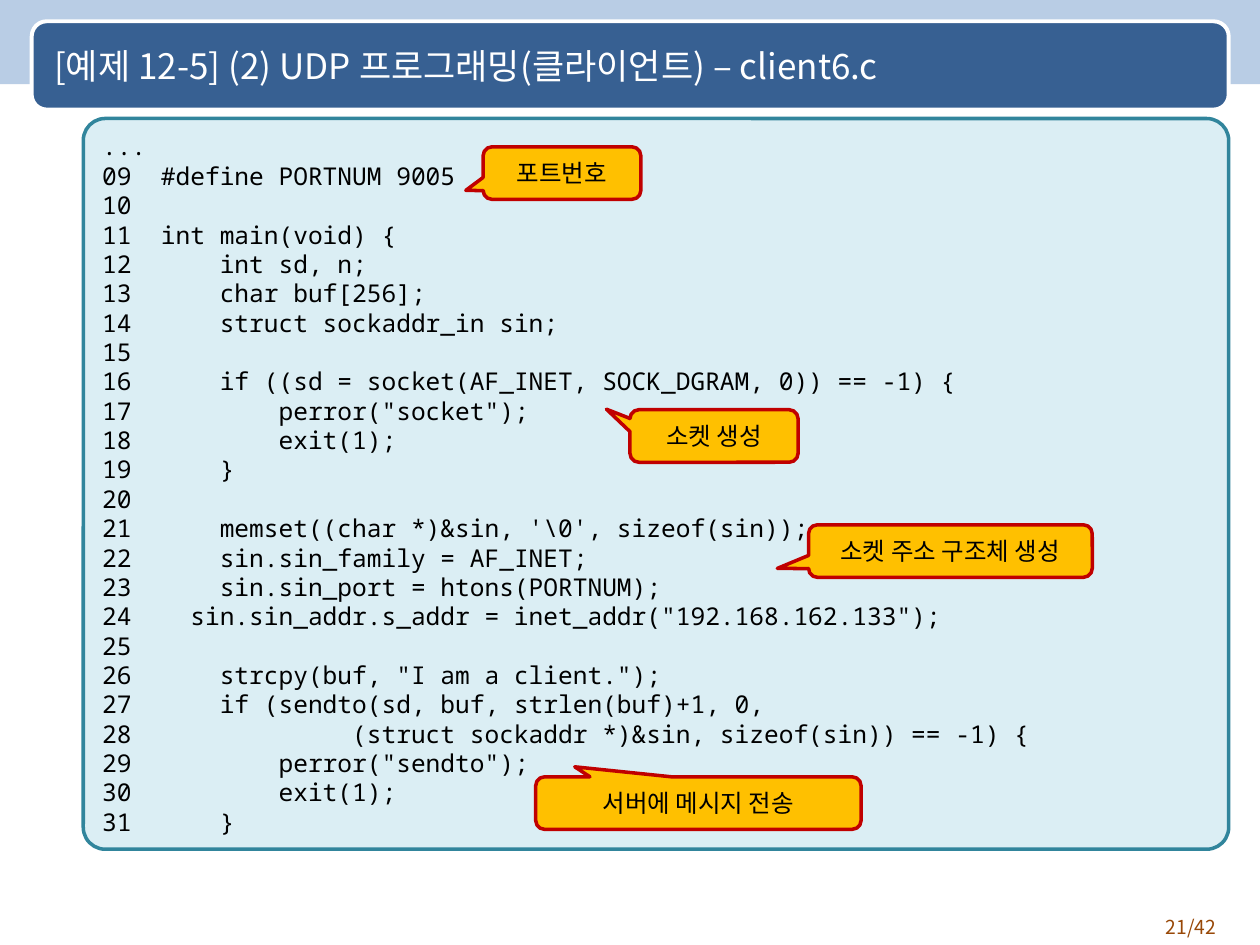
"""Builds a slide with an annotated UDP client listing in C."""
from lxml import etree
from pptx import Presentation, util as u
from pptx.dml.color import RGBColor
from pptx.enum import shapes, text
from pptx.oxml import ns

SANS, MONO = "Noto Sans CJK KR", "Noto Sans Mono"
WHITE = RGBColor(0xFF, 0xFF, 0xFF)
BLACK = RGBColor(0x00, 0x00, 0x00)
PALE_BLUE = RGBColor(0xB9, 0xCD, 0xE5)
NAVY = RGBColor(0x37, 0x60, 0x92)
ICE = RGBColor(0xDB, 0xEE, 0xF4)
TEAL = RGBColor(0x31, 0x85, 0x9C)
AMBER = RGBColor(0xFF, 0xC0, 0x00)
RED = RGBColor(0xC0, 0x00, 0x00)
BROWN = RGBColor(0x98, 0x48, 0x07)

FIRST_LINE = 9
AUTO_NUMBERED = (24, 28)
CODE = r"""#define PORTNUM 9005

int main(void) {
    int sd, n;
    char buf[256];
    struct sockaddr_in sin;

    if ((sd = socket(AF_INET, SOCK_DGRAM, 0)) == -1) {
        perror("socket");
        exit(1);
    }

    memset((char *)&sin, '\0', sizeof(sin));
    sin.sin_family = AF_INET;
    sin.sin_port = htons(PORTNUM);
    sin.sin_addr.s_addr = inet_addr("192.168.162.133");

    strcpy(buf, "I am a client.");
    if (sendto(sd, buf, strlen(buf)+1, 0,
               (struct sockaddr *)&sin, sizeof(sin)) == -1) {
        perror("sendto");
        exit(1);
    }"""

CALLOUTS = [
    ("포트번호", 9.74, 2.96, 3.18, (-0.61, 0.33)),
    ("소켓 생성", 12.7, 8.26, 3.39, (-0.64, -0.51)),
    ("소켓 주소 구조체 생성", 16.3, 10.58, 5.72, (-0.61, 0.33)),
    ("서버에 메시지 전송", 10.8, 15.66, 6.56, (-0.38, -0.69)),
]


def add_box(s, kind, box, fill, line=None, width=2, adj=()):
    sp = s.shapes.add_shape(kind, *map(u.Cm, box))
    sp.shadow.inherit = False
    sp.fill.solid()
    sp.fill.fore_color.rgb = fill
    if line is None:
        sp.line.fill.background()
    else:
        sp.line.color.rgb = line
        sp.line.width = u.Pt(width)
    for i, value in enumerate(adj):
        sp.adjustments[i] = value
    return sp


def format_paragraph(p, size, color, font, align):
    p.alignment = align
    for r in p.runs:
        r.font.size = u.Pt(size)
        r.font.color.rgb = color
        r.font.name = font
        ea = etree.SubElement(r.font._element, ns.qn("a:ea"))
        ea.set("typeface", font)


def write_label(sp, label, size, color, align):
    tf = sp.text_frame
    tf.word_wrap = True
    tf.vertical_anchor = text.MSO_ANCHOR.MIDDLE
    tf.text = label
    format_paragraph(tf.paragraphs[0], size, color, SANS, align)


def add_label(s, box, label, size, color, align):
    write_label(s.shapes.add_textbox(*map(u.Cm, box)), label, size, color, align)


def add_number_bullet(p, number):
    pPr = p._p.get_or_add_pPr()
    pPr.set("marL", "0")
    pPr.set("indent", "0")
    etree.SubElement(pPr, ns.qn("a:buFont")).set("typeface", MONO)
    bullet = etree.SubElement(pPr, ns.qn("a:buAutoNum"))
    bullet.set("type", "arabicPlain")
    bullet.set("startAt", str(number))


def add_code(s):
    sp = add_box(s, shapes.MSO_SHAPE.ROUNDED_RECTANGLE,
                 (1.68, 2.39, 23.09, 14.73), ICE, TEAL, adj=(0.03,))
    tf = sp.text_frame
    tf.word_wrap = True
    tf.vertical_anchor = text.MSO_ANCHOR.MIDDLE
    tf.text = "..."
    for number, line in enumerate(CODE.split("\n"), FIRST_LINE):
        p = tf.add_paragraph()
        if number in AUTO_NUMBERED:
            add_number_bullet(p, number)
            p.text = line
        else:
            p.text = f"{number:02}  {line}"
    for p in tf.paragraphs:
        p.line_spacing = u.Pt(16.77)
        format_paragraph(p, 14, BLACK, MONO, text.PP_ALIGN.JUSTIFY)


def add_callout(s, label, left, top, width, tip):
    sp = add_box(s, shapes.MSO_SHAPE.ROUNDED_RECTANGULAR_CALLOUT,
                 (left, top, width, 1.06), AMBER, RED, adj=(*tip, 0.17))
    write_label(sp, label, 14, BLACK, text.PP_ALIGN.CENTER)


def main():
    prs = Presentation()
    prs.slide_width, prs.slide_height = u.Cm(25.4), u.Cm(19.05)
    s = prs.slides.add_slide(prs.slide_layouts[6])
    add_box(s, shapes.MSO_SHAPE.RECTANGLE, (-0.03, 0, 25.45, 1.7), PALE_BLUE)
    add_box(s, shapes.MSO_SHAPE.ROUNDED_RECTANGLE, (0.64, 0.43, 24.13, 1.78),
            NAVY, WHITE, 2.25, (0.17,))
    add_label(s, (22.66, 18.31, 2.11, 0.74), "21/42", 11, BROWN,
              text.PP_ALIGN.RIGHT)
    add_label(s, (0.84, 0.48, 23.5, 1.7),
              "[예제 12-5] (2) UDP 프로그래밍(클라이언트) – client6.c",
              20, WHITE, text.PP_ALIGN.LEFT)
    add_code(s)
    for callout in CALLOUTS:
        add_callout(s, *callout)
    prs.save("out.pptx")


if __name__ == "__main__":
    main()
